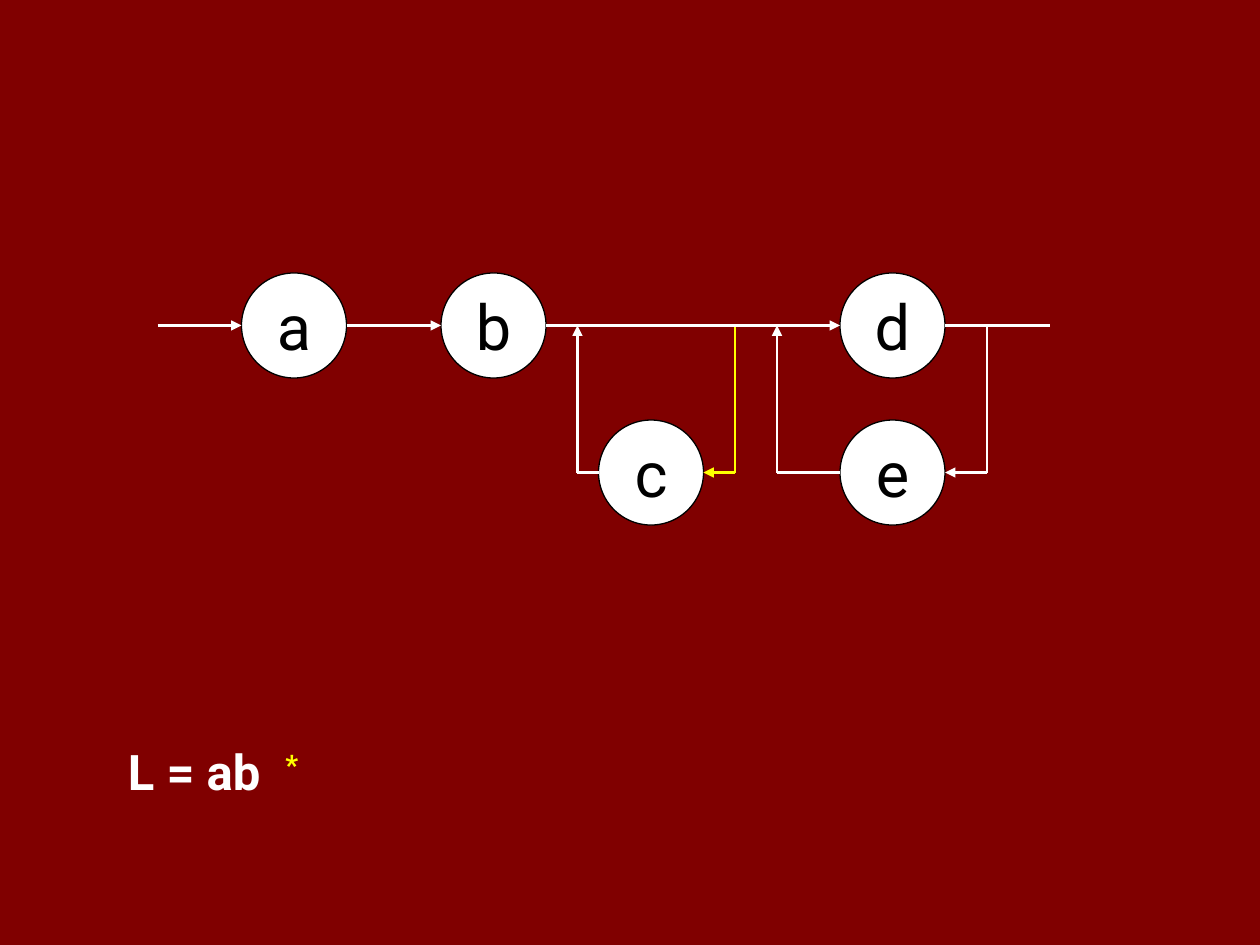
from dataclasses import dataclass

from lxml import etree
from pptx import Presentation
from pptx.dml.color import RGBColor
from pptx.enum.shapes import MSO_CONNECTOR, MSO_SHAPE
from pptx.enum.text import MSO_ANCHOR, PP_ALIGN
from pptx.oxml.ns import qn
from pptx.util import Pt

STRAIGHT = MSO_CONNECTOR.STRAIGHT
ELLIPSE = MSO_SHAPE.OVAL
MIDDLE = MSO_ANCHOR.MIDDLE
CENTER = PP_ALIGN.CENTER


@dataclass(frozen=True)
class Theme:
    """Colours, font and sizes of the slide."""
    background: RGBColor = RGBColor(0x80, 0x00, 0x00)
    light: RGBColor = RGBColor(0xFF, 0xFF, 0xFF)
    dark: RGBColor = RGBColor(0x00, 0x00, 0x00)
    accent: RGBColor = RGBColor(0xFF, 0xFF, 0x00)
    font: str = "Roboto"
    state_size: int = 36
    formula_size: int = 28
    outline: float = 0.75
    track: float = 1.5


THEME = Theme()
NODE = 60
ROW_GAP = 84
STATES = {"a": (48, 0), "b": (162, 0), "c": (252, 1), "d": (390, 0), "e": (390, 1)}
TRACK = [(0, 48, True), (108, 162, True), (222, 330, False),
         (330, 390, True), (450, 510, False)]
LOOPS = [("c", 240, 330, THEME.accent), ("e", 354, 474, THEME.light)]


def set_format(target, values):
    """Set each named attribute on the target."""
    for name, value in values.items():
        setattr(target, name, value)


def format_font(font, size, color, bold=False):
    """Apply the theme typeface with a size, colour and weight."""
    set_format(font, {"name": THEME.font, "size": Pt(size), "bold": bold})
    font.color.rgb = color


def add_line(page, start, end, color, arrow=False):
    """Draw a straight line between two points, with an optional arrowhead."""
    line = page.shapes.add_connector(STRAIGHT, *map(Pt, (*start, *end)))
    line.line.width = Pt(THEME.track)
    line.line.color.rgb = color
    if arrow:
        etree.SubElement(line.line._get_or_add_ln(), qn("a:tailEnd"), type="triangle")
    etree.SubElement(line._element.spPr, qn("a:effectLst"))


def add_state(page, left, top, label):
    """Draw one labelled state circle."""
    state = page.shapes.add_shape(ELLIPSE, *map(Pt, (left, top, NODE, NODE)))
    state.shadow.inherit = False
    state.fill.solid()
    state.fill.fore_color.rgb = THEME.light
    state.line.color.rgb = THEME.dark
    state.line.width = Pt(THEME.outline)
    set_format(state.text_frame, {"word_wrap": False, "vertical_anchor": MIDDLE})
    para = state.text_frame.paragraphs[0]
    para.alignment = CENTER
    span = para.add_run()
    span.text = label
    format_font(span.font, THEME.state_size, THEME.dark)


def add_loop(page, node_left, entry, leave, upper, lower, color):
    """Draw the way from the track down to a state and back up to the track."""
    add_line(page, (leave, upper), (leave, lower), color)
    add_line(page, (leave, lower), (node_left + NODE, lower), color, True)
    add_line(page, (node_left, lower), (entry, lower), THEME.light)
    add_line(page, (entry, lower), (entry, upper), THEME.light, True)


def add_automaton(page, left, top):
    """Place the states, their loops and the main track."""
    for label, (offset, row) in STATES.items():
        add_state(page, left + offset, top + row * ROW_GAP, label)
    upper = top + NODE / 2
    lower = upper + ROW_GAP
    for label, entry, leave, color in LOOPS:
        add_loop(page, left + STATES[label][0], left + entry, left + leave,
                 upper, lower, color)
    for start, end, arrow in TRACK:
        add_line(page, (left + start, upper), (left + end, upper), THEME.light, arrow)


def add_formula(page, left, top, width, height):
    """Write the language formula with its raised star at a tab stop."""
    box = page.shapes.add_textbox(*map(Pt, (left, top, width, height)))
    box.text_frame.word_wrap = True
    para = box.text_frame.paragraphs[0]
    tabs = etree.SubElement(para._p.get_or_add_pPr(), qn("a:tabLst"))
    etree.SubElement(tabs, qn("a:tab"), pos=str(Pt(90)), algn="l")
    for text, color in (("L = ab\t", THEME.light), ("*", THEME.accent)):
        span = para.add_run()
        span.text = text
        format_font(span.font, THEME.formula_size, color, True)
    span.font._element.set("baseline", "30000")


def main():
    """Build and save the slide."""
    deck = Presentation()
    set_format(deck, {"slide_width": Pt(720), "slide_height": Pt(540)})
    page = deck.slides.add_slide(deck.slide_layouts[6])
    page.background.fill.solid()
    page.background.fill.fore_color.rgb = THEME.background
    add_automaton(page, 90, 156)
    add_formula(page, 66, 420, 258, 41)
    deck.save("out.pptx")


if __name__ == "__main__":
    main()
